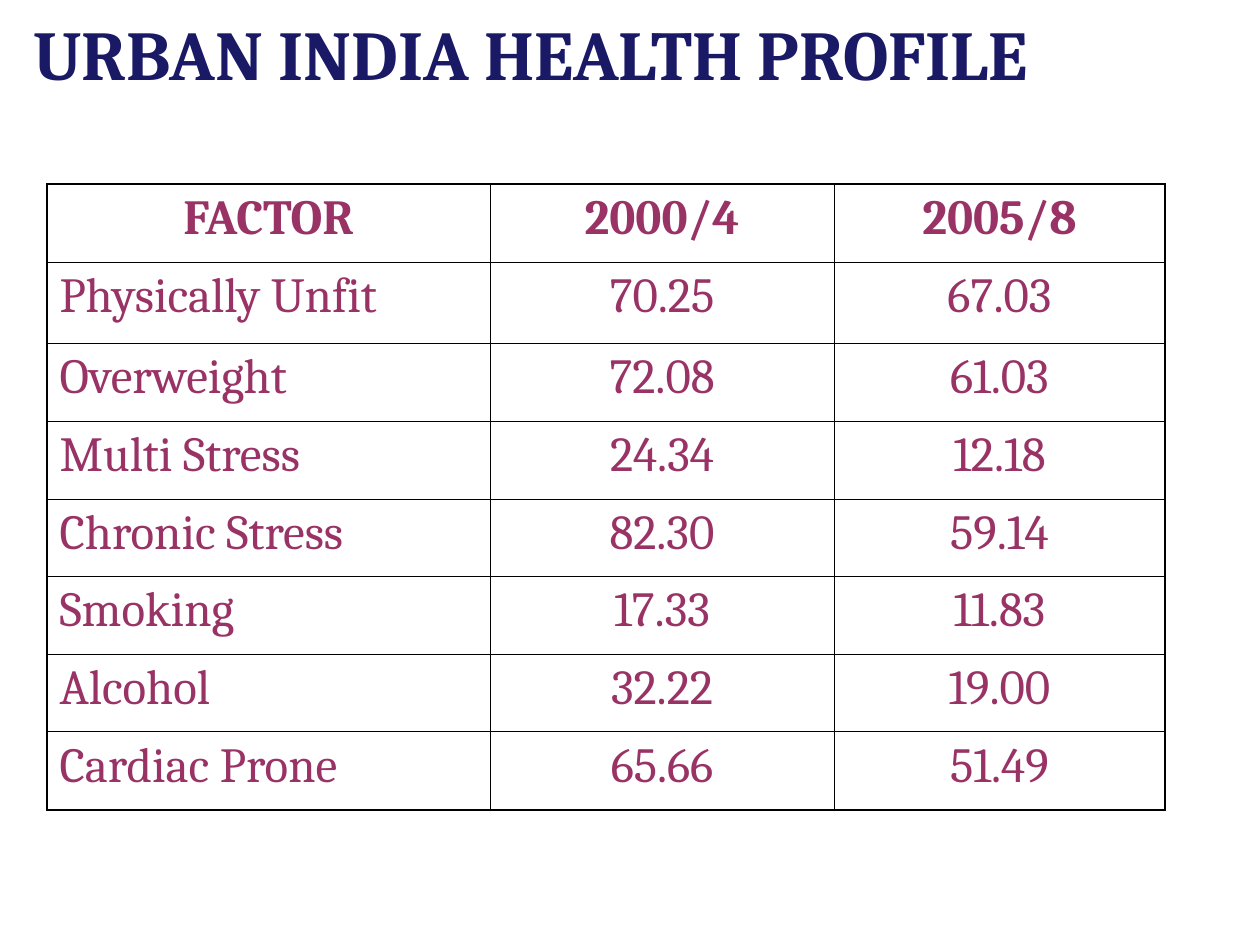
from typing import NamedTuple

from lxml import etree
from pptx import Presentation
from pptx import util as u
from pptx.dml import color
from pptx.enum import text
from pptx.oxml import ns

SCALE = 914400 / 126
HUES = {"title": "191966", "body": "993366", "rule": "000000", "paper": "FFFFFF"}
FONT = "Cambria"
THICK, THIN = 1.08, 0.45
MID, LEFT = text.PP_ALIGN.CENTER, text.PP_ALIGN.LEFT


class Box(NamedTuple):
    x: int
    y: int
    w: int
    h: int


class Row(NamedTuple):
    factor: str
    early: str
    late: str
    high: int = 78


ROWS = [
    Row("FACTOR", "2000/4", "2005/8"),
    Row("Physically Unfit", "70.25", "67.03", 81),
    Row("Overweight", "72.08", "61.03"),
    Row("Multi Stress", "24.34", "12.18"),
    Row("Chronic Stress", "82.30", "59.14", 77),
    Row("Smoking", "17.33", "11.83"),
    Row("Alcohol", "32.22", "19.00"),
    Row("Cardiac Prone", "65.66", "51.49"),
]
COLS = [443, 344, 331]
TITLE = Box(0, 4, 1061, 97)
GRID = Box(47, 184, sum(COLS), sum(row.high for row in ROWS))


def px(n: int) -> u.Emu:
    return u.Emu(round(n * SCALE))


def write(frame, words: str, *, size: int, hue: str, bold=False, align=MID) -> None:
    par = frame.paragraphs[0]
    par.alignment = align
    run = par.add_run()
    run.text = words
    font = run.font
    font.name, font.size, font.bold = FONT, u.Pt(size), bold
    font.color.rgb = color.RGBColor.from_string(HUES[hue])


def edge(cell, side: str, width: float) -> None:
    props = cell._tc.get_or_add_tcPr()
    line = etree.SubElement(props, ns.qn(f"a:ln{side}"), w=str(u.Pt(width)))
    fill = etree.SubElement(line, ns.qn("a:solidFill"))
    etree.SubElement(fill, ns.qn("a:srgbClr"), val=HUES["rule"])


def draw_title(slide) -> None:
    frame = slide.shapes.add_textbox(*map(px, TITLE)).text_frame
    frame.word_wrap = True
    write(frame, "URBAN INDIA HEALTH PROFILE", size=40, hue="title", bold=True)


def draw_grid(slide) -> None:
    end, last = len(ROWS) - 1, len(COLS) - 1
    table = slide.shapes.add_table(len(ROWS), len(COLS), *map(px, GRID)).table
    table.first_row = table.horz_banding = False
    for col, wide in zip(table.columns, COLS):
        col.width = px(wide)
    for r, row in enumerate(ROWS):
        table.rows[r].height = px(row.high)
        for c, words in enumerate(row[:3]):
            cell = table.cell(r, c)
            rim = {"L": c == 0, "R": c == last, "T": r == 0, "B": r == end}
            for side, outer in rim.items():
                edge(cell, side, THICK if outer else THIN)
            cell.fill.background()
            write(cell.text_frame, words, size=28, hue="body", bold=r == 0,
                  align=LEFT if r and c == 0 else MID)


def main() -> None:
    deck = Presentation()
    deck.slide_width, deck.slide_height = px(1260), px(945)
    slide = deck.slides.add_slide(deck.slide_layouts[6])
    paper = slide.background.fill
    paper.solid()
    paper.fore_color.rgb = color.RGBColor.from_string(HUES["paper"])
    draw_grid(slide)
    draw_title(slide)
    deck.save("out.pptx")


if __name__ == "__main__":
    main()
